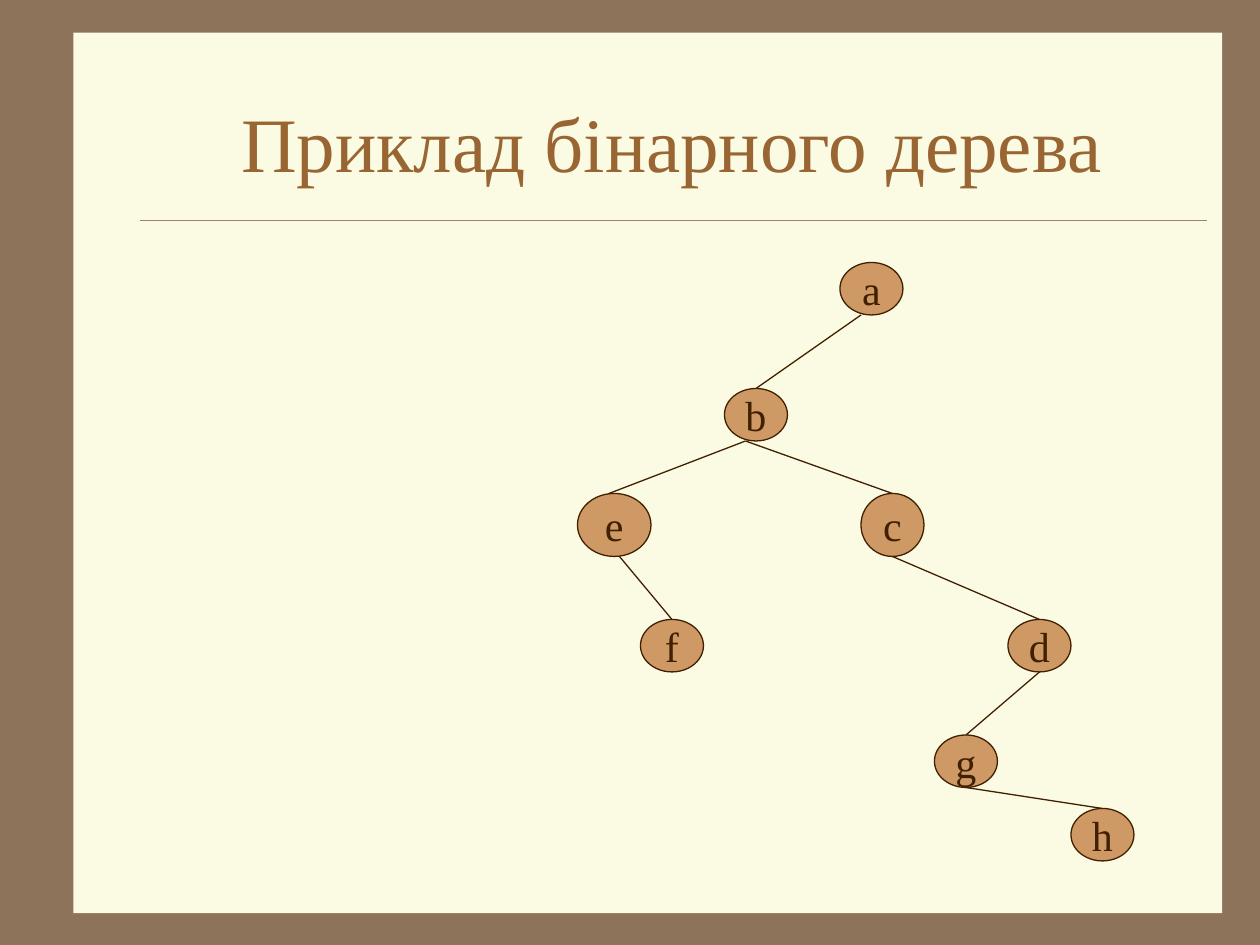
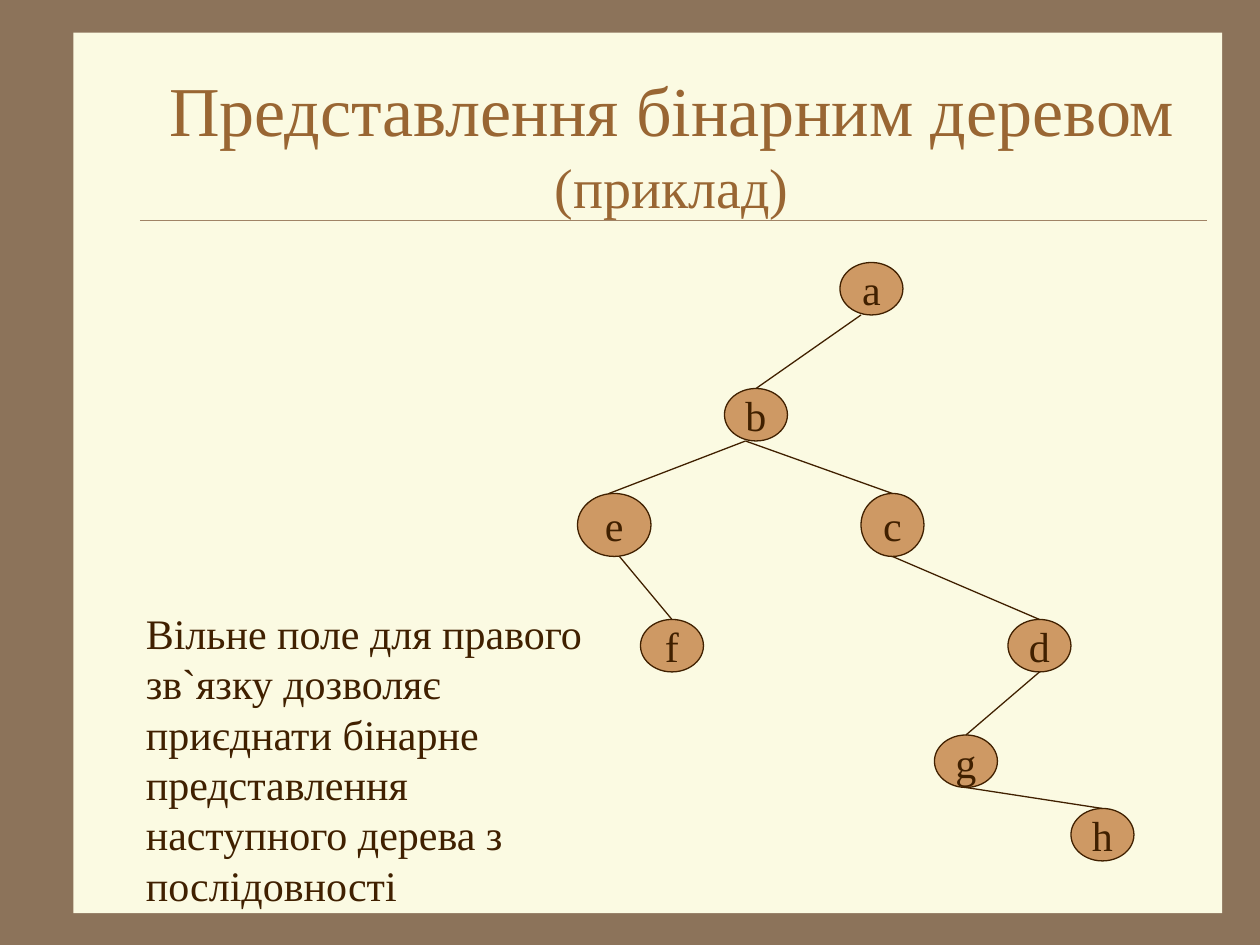
from copy import deepcopy

from lxml.etree import SubElement
from pptx import Presentation
from pptx.dml.color import RGBColor
from pptx.enum.shapes import MSO_CONNECTOR, MSO_SHAPE
from pptx.enum.text import MSO_ANCHOR, MSO_AUTO_SIZE, PP_ALIGN
from pptx.oxml.ns import qn
from pptx.util import Cm, Pt

COLOURS = {
    "border": "8C735A",
    "paper": "FBFAE2",
    "rule": "A08366",
    "title": "996633",
    "node": "CE9964",
    "ink": "402000",
}
FONT = "Times New Roman"
GRID = 2.54 / 12
LEADING = 1.2

NODES = {
    "a": (80, 25, 6, 5),
    "b": (69, 37, 6, 5),
    "e": (55, 47, 7, 6),
    "c": (82, 47, 6, 6),
    "f": (61, 59, 6, 5),
    "d": (96, 59, 6, 5),
    "g": (89, 70, 6, 5),
    "h": (102, 77, 6, 5),
}
EDGES = ["ab", "be", "bc", "ef", "cd", "dg", "gh"]
START_SHIFT = {"a": -1, "b": -1, "e": 0.5}
END_SHIFT = {"e": -0.5}

TITLES = [
    [("Приклад бінарного дерева", 44)],
    [("Представлення бінарним деревом", 40), ("(приклад)", 32)],
]
NOTE = (
    "Вільне поле для правого зв`язку дозволяє приєднати бінарне "
    "представлення наступного дерева з послідовності"
)


def colour(name):
    return RGBColor.from_string(COLOURS[name])


class TreeDeck:
    """Holds the deck style and the page being filled."""

    def __init__(self):
        self.deck = Presentation()
        self.deck.slide_width, self.deck.slide_height = Cm(25.4), Cm(19.05)
        self.layout = self.deck.slide_layouts[5]
        self.page = None

    def add_page(self, title_lines):
        self.page = self.deck.slides.add_slide(self.layout)
        self.title(title_lines)

    def frame(self):
        fill = self.layout.background.fill
        fill.solid()
        fill.fore_color.rgb = colour("border")
        panel = self.shape(MSO_SHAPE.RECTANGLE, (1.48, 0.66, 23.16, 17.75), "paper")
        panel.line.fill.background()
        rule = self.line((2.82, 4.44), (24.33, 4.44), "rule", 0.25)
        for item in (panel, rule):
            self.layout.shapes._spTree.append(item._element)

    def span(self, para, text, size, ink):
        span = para.add_run()
        span.text = text
        span.font.name = FONT
        span.font.size = Pt(size)
        span.font.color.rgb = colour(ink)
        return span

    def title(self, lines):
        box = self.page.shapes.title
        box.left, box.top, box.width, box.height = Cm(2.75), Cm(1.27), Cm(21.59), Cm(3.17)
        frame = box.text_frame
        frame.auto_size = MSO_AUTO_SIZE.NONE
        frame.vertical_anchor = MSO_ANCHOR.MIDDLE
        para = frame.paragraphs[0]
        para.alignment = PP_ALIGN.CENTER
        para.line_spacing = Pt(lines[0][1] * LEADING) if len(lines) == 1 else 1.04
        for number, (text, size) in enumerate(lines):
            if number:
                para.add_line_break()
                para._p.findall(qn("a:br"))[-1].append(deepcopy(span._r.rPr))
            span = self.span(para, text, size, "title")

    def shape(self, kind, place, fill):
        shape = self.page.shapes.add_shape(kind, *map(Cm, place))
        shape.shadow.inherit = False
        shape.fill.solid()
        shape.fill.fore_color.rgb = colour(fill)
        return shape

    def line(self, start, end, ink="ink", width=0.75):
        line = self.page.shapes.add_connector(
            MSO_CONNECTOR.STRAIGHT, *map(Cm, (*start, *end))
        )
        line.line.color.rgb = colour(ink)
        line.line.width = Pt(width)
        SubElement(line._element.spPr, qn("a:effectLst"))
        return line

    def node(self, name, place):
        node = self.shape(MSO_SHAPE.OVAL, [GRID * value for value in place], "node")
        node.line.color.rgb = colour("ink")
        node.line.width = Pt(0.75)
        node.text_frame.word_wrap = False
        node.text_frame.vertical_anchor = MSO_ANCHOR.MIDDLE
        para = node.text_frame.paragraphs[0]
        para.alignment = PP_ALIGN.CENTER
        para.line_spacing = Pt(24 * LEADING)
        self.span(para, name, 24, "ink")

    def edge(self, parent, child):
        left, top, width, height = NODES[parent]
        start = (left + width / 2 + START_SHIFT.get(parent, 0), top + height)
        left, top, width, height = NODES[child]
        end = (left + width / 2 + END_SHIFT.get(child, 0), top)
        self.line([GRID * value for value in start], [GRID * value for value in end])

    def tree(self):
        for name, place in NODES.items():
            self.node(name, place)
        for parent, child in EDGES:
            self.edge(parent, child)

    def note(self, text, place):
        box = self.page.shapes.add_textbox(*map(Cm, place))
        box.text_frame.word_wrap = True
        para = box.text_frame.paragraphs[0]
        para.line_spacing = Pt(24 * LEADING)
        self.span(para, text, 24, "ink")


def main():
    talk = TreeDeck()
    for number, lines in enumerate(TITLES):
        talk.add_page(lines)
        if number == 0:
            talk.frame()
        talk.tree()
    talk.note(NOTE, (2.69, 12.12, 10.01, 6.35))
    talk.deck.save("out.pptx")


if __name__ == "__main__":
    main()
